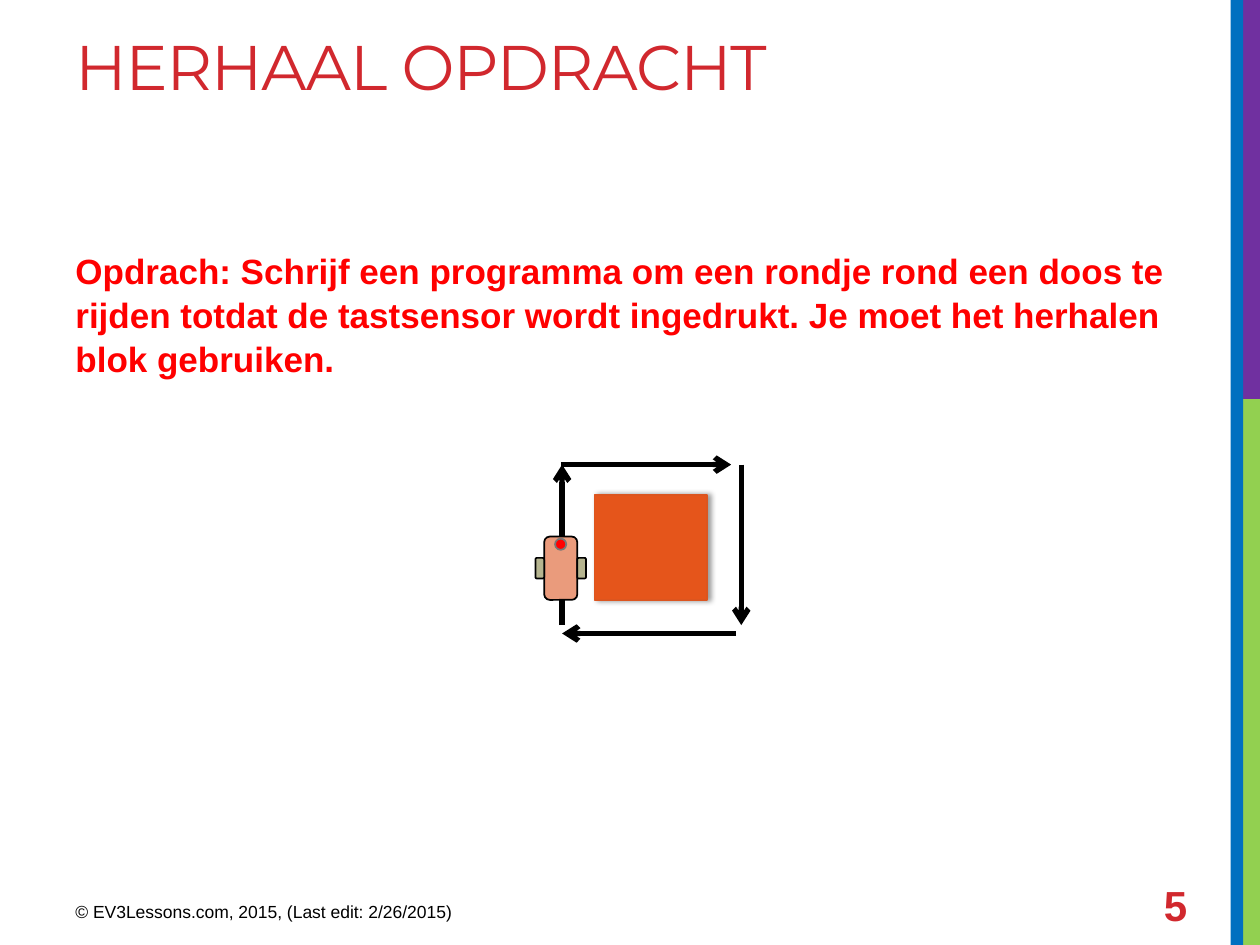
from lxml import etree
from pptx import Presentation
from pptx.dml.color import RGBColor
from pptx.enum.shapes import MSO_CONNECTOR, MSO_SHAPE
from pptx.enum.text import MSO_ANCHOR
from pptx.oxml import parse_xml
from pptx.oxml.ns import nsdecls, qn
from pptx.util import Pt

RECT = MSO_SHAPE.RECTANGLE
ROUND = MSO_SHAPE.ROUNDED_RECTANGLE
OVAL = MSO_SHAPE.OVAL
STRAIGHT = MSO_CONNECTOR.STRAIGHT
TOP, MIDDLE = MSO_ANCHOR.TOP, MSO_ANCHOR.MIDDLE

GREEN = RGBColor(0x92, 0xD0, 0x50)
PURPLE = RGBColor(0x70, 0x30, 0xA0)
BLUE = RGBColor(0x00, 0x70, 0xC0)
CRIMSON = RGBColor(0xD1, 0x28, 0x2E)
RED = RGBColor(0xFF, 0x00, 0x00)
BLACK = RGBColor(0x00, 0x00, 0x00)
ORANGE = RGBColor(0xE5, 0x55, 0x1B)
ORANGE_EDGE = RGBColor(0xDC, 0x55, 0x1F)
SALMON = RGBColor(0xEA, 0x9B, 0x7C)
KHAKI = RGBColor(0xB6, 0xB5, 0x90)
GREY = RGBColor(0x77, 0x77, 0x77)

prs = Presentation()
prs.slide_width, prs.slide_height = Pt(720), Pt(540)
slide = prs.slides.add_slide(prs.slide_layouts[6])


def add_block(parent, kind, box, fill, edge=None):
    block = parent.add_shape(kind, *[Pt(v) for v in box])
    block.shadow.inherit = False
    block.fill.solid()
    block.fill.fore_color.rgb = fill
    if edge is None:
        block.line.fill.background()
    else:
        block.line.color.rgb = edge
        block.line.width = Pt(1)
    return block


def add_text(box, words, size, color, font="Arial", bold=False, anchor=TOP):
    frame = slide.shapes.add_textbox(*[Pt(v) for v in box]).text_frame
    frame.word_wrap = True
    frame.vertical_anchor = anchor
    run = frame.paragraphs[0].add_run()
    run.text = words
    run.font.size, run.font.name, run.font.bold = Pt(size), font, bold
    run.font.color.rgb = color
    return frame.paragraphs[0]


# Coloured bands along the right edge
add_block(slide.shapes, RECT, (709.2, 228, 10.8, 312), GREEN)
add_block(slide.shapes, RECT, (706, 0, 14, 228), PURPLE)
add_block(slide.shapes, RECT, (703.2, 0, 7.2, 540), BLUE)

# Title, assignment, footer and page number
title = add_text((36, 12, 649.5, 108), "HERHAAL OPDRACHT", 36, CRIMSON, "Montserrat")
title.runs[0].font._element.set("spc", "-60")
assignment = add_text(
    (36, 138, 649.5, 344),
    "Opdrach: Schrijf een programma om een rondje rond een doos te rijden "
    "totdat de tastsensor wordt ingedrukt. Je moet het herhalen blok gebruiken.",
    20, RED, bold=True)
assignment.line_spacing = 1.05
assignment.space_after = Pt(6)
add_text((36, 511.2, 270, 22.3),
         "© EV3Lessons.com, 2015, (Last edit: 2/26/2015)", 10, BLACK)
add_text((658, 502.5, 47, 29), "5", 24, CRIMSON, bold=True, anchor=MIDDLE)

# Box to drive around, with a soft shadow on its right
obstacle = add_block(slide.shapes, RECT, (339.8, 283, 64.1, 59.8), ORANGE, ORANGE_EDGE)
obstacle_effects = obstacle._element.spPr.find(qn("a:effectLst"))
obstacle_effects.append(parse_xml(
    f'<a:outerShdw {nsdecls("a")} blurRad="{Pt(3.1)}" dist="{Pt(1.8)}" dir="0" '
    'algn="ctr" rotWithShape="0"><a:srgbClr val="000000">'
    '<a:alpha val="40000"/></a:srgbClr></a:outerShdw>'))

# Route arrows, clockwise from the left side
for leg in [(321.2, 357.2, 321.2, 265.5), (320.5, 265.5, 417.8, 265.5),
            (423.6, 265.5, 423.6, 357.2), (420.6, 362, 321.2, 362)]:
    arrow = slide.shapes.add_connector(STRAIGHT, *[Pt(v) for v in leg])
    arrow.line.color.rgb = BLACK
    arrow.line.width = Pt(3)
    etree.SubElement(arrow.line._get_or_add_ln(), qn("a:tailEnd"), type="arrow")
    etree.SubElement(arrow._element.spPr, qn("a:effectLst"))

# Robot: body, two wheels and the touch sensor
robot = slide.shapes.add_group_shape().shapes
add_block(robot, ROUND, (311, 306.6, 18.9, 36.2), SALMON, BLACK)
for wheel_left in (329.9, 306):
    add_block(robot, ROUND, (wheel_left, 318.8, 5, 11.8), KHAKI, BLACK)
add_block(robot, OVAL, (317.2, 307.8, 6.4, 6.4), RED, GREY)

prs.save("out.pptx")
